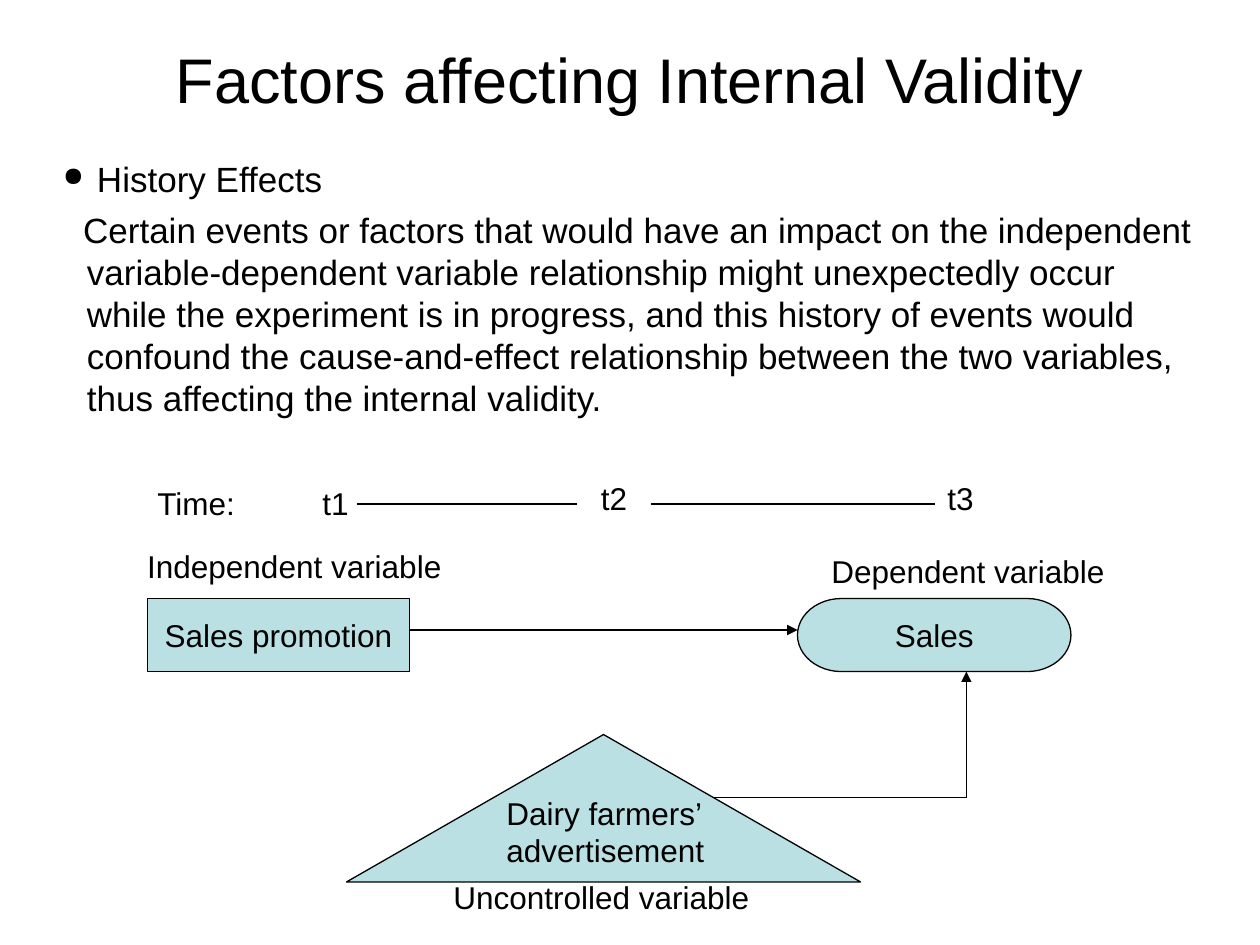
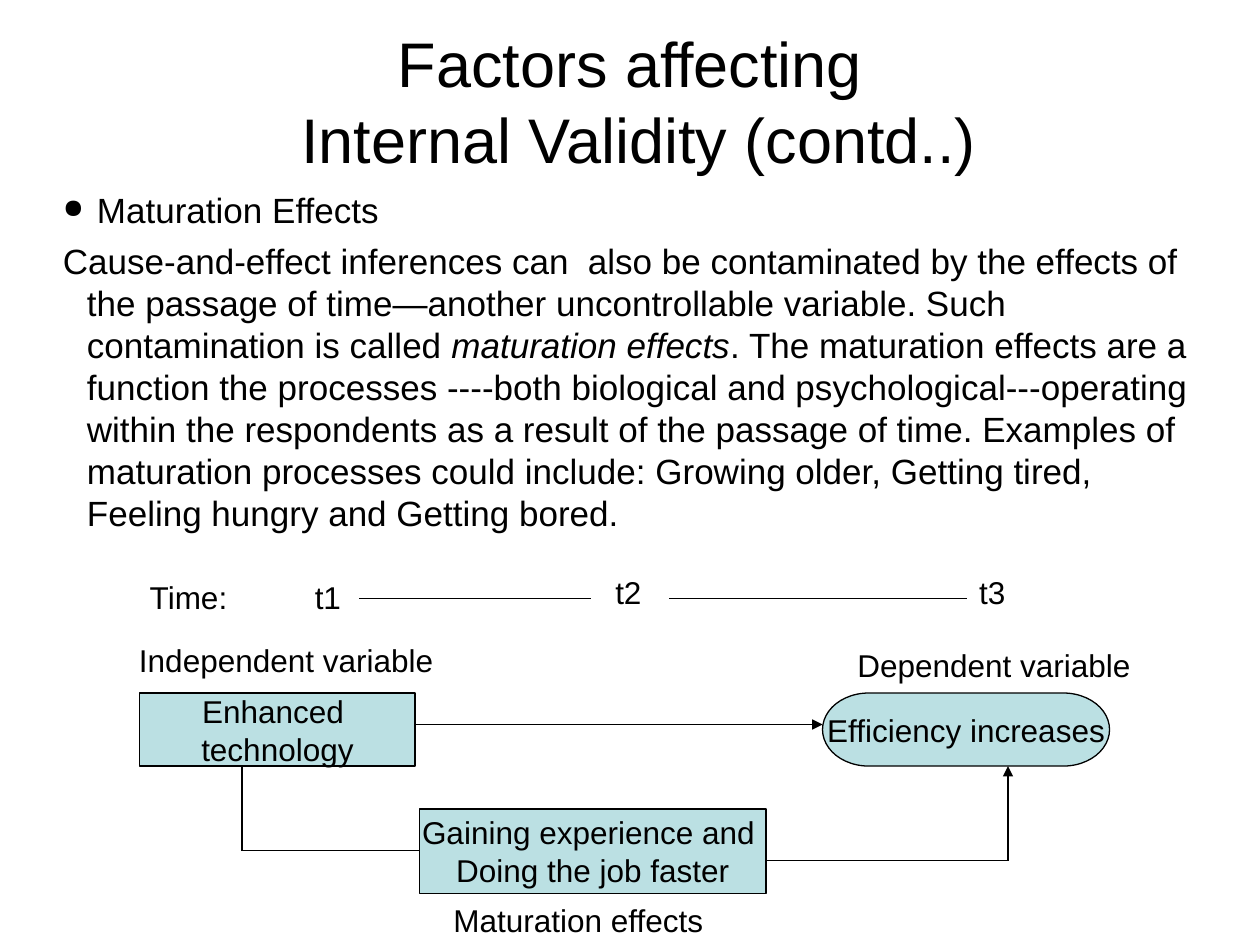
from lxml import etree
from pptx import Presentation
from pptx import util as u
from pptx.dml.color import RGBColor
from pptx.enum import shapes, text
from pptx.oxml import ns

Inches, Pt = u.Inches, u.Pt
COLORS = {"ink": "000000", "node": "BBE0E3"}
FONT = "Arial"
TITLE_SIZE, BODY_SIZE, LABEL_SIZE = 36, 20, 18
RECT = shapes.MSO_SHAPE.RECTANGLE
TERMINATOR = shapes.MSO_SHAPE.FLOWCHART_TERMINATOR
EXTRACT = shapes.MSO_SHAPE.FLOWCHART_EXTRACT

# Body runs are (text, italic); label and node lines are plain strings.
SLIDES = [
    {
        "title": ["Factors affecting Internal Validity"],
        "title_top": 0,
        "heading": "History Effects",
        "body": [
            ("Certain events or factors that would have an impact on the independent "
             "variable-dependent variable relationship might unexpectedly occur while the "
             "experiment is in progress, and this history of events would confound the "
             "cause-and-effect relationship between the two variables, thus affecting the "
             "internal validity.", False),
        ],
        "body_top": 1.25,
        "first_indent": -0.03,
        "cause": ["Sales promotion"],
        "effect": ["Sales"],
        "diagram": (1.17, 3.75, 1),
        "routes": [[(5.67, 6.33), (7.67, 6.33), (7.67, 5.33)]],
        "arrows": [True],
        "extra_node": (EXTRACT, 2.75, 5.83, 4.08, 1.17, []),
        "labels": [
            (3.5, 6.92, 2.6, ["Uncontrolled variable"]),
            (3.92, 6.25, 1.85, ["Dairy farmers’", "advertisement"]),
        ],
    },
    {
        "title": ["Factors affecting", " Internal Validity (contd..)"],
        "title_top": 0.17,
        "heading": "Maturation Effects",
        "body": [
            ("Cause-and-effect inferences can  also be contaminated by the effects of the "
             "passage of time—another uncontrollable variable. Such contamination is "
             "called ", False),
            ("maturation effects", True),
            (". The maturation effects are a function the processes ----both biological "
             "and psychological---operating within the respondents as a result of the "
             "passage of time. Examples of maturation processes could include: Growing "
             "older, Getting tired, Feeling hungry and Getting bored.", False),
        ],
        "body_top": 1.5,
        "first_indent": -0.19,
        "cause": ["Enhanced ", "technology"],
        "effect": ["Efficiency increases"],
        "diagram": (1.11, 4.5, 1.05),
        "routes": [
            [(5.92, 6.83), (8, 6.83), (8, 6.08)],
            [(3.33, 6.75), (1.92, 6.75), (1.92, 6.08)],
        ],
        "arrows": [True, False],
        "extra_node": (RECT, 3.33, 6.42, 2.75, 0.67,
                       ["Gaining experience and ", "Doing the job faster"]),
        "labels": [(3.5, 7.1, 2.25, ["Maturation effects"])],
    },
]


def color(name):
    return RGBColor.from_string(COLORS[name])


def add_span(para, words, size, italic=False):
    span = para.add_run()
    span.text = words
    span.font.name, span.font.size = FONT, Pt(size)
    span.font.italic = italic
    span.font.color.rgb = color("ink")


def fill_lines(frame, lines, size, align=text.PP_ALIGN.LEFT):
    for index, words in enumerate(lines):
        para = frame.add_paragraph() if index else frame.paragraphs[0]
        para.alignment = align
        add_span(para, words, size)


def add_box(page, left, top, width, height):
    return page.shapes.add_textbox(
        Inches(left), Inches(top), Inches(width), Inches(height)).text_frame


def add_label(page, left, top, width, lines):
    frame = add_box(page, left, top, width, 0.1 + 0.3 * len(lines))
    frame.word_wrap = True
    fill_lines(frame, lines, LABEL_SIZE)


def add_node(page, preset, left, top, width, height, lines):
    node = page.shapes.add_shape(
        preset, Inches(left), Inches(top), Inches(width), Inches(height))
    node.shadow.inherit = False
    node.fill.solid()
    node.fill.fore_color.rgb = color("node")
    node.line.color.rgb = color("ink")
    node.line.width = Pt(0.75)
    node.text_frame.word_wrap = False
    node.text_frame.vertical_anchor = text.MSO_ANCHOR.MIDDLE
    fill_lines(node.text_frame, lines, LABEL_SIZE, text.PP_ALIGN.CENTER)


def add_route(page, points, arrow=False):
    """Join the points with straight lines, the last with an optional arrowhead."""
    for start, end in zip(points, points[1:]):
        link = page.shapes.add_connector(
            shapes.MSO_CONNECTOR.STRAIGHT, *(Inches(n) for n in start + end))
        link.line.color.rgb = color("ink")
        link.line.width = Pt(0.75)
        if arrow and end == points[-1]:
            outline = link._element.spPr.find(ns.qn("a:ln"))
            etree.SubElement(outline, ns.qn("a:tailEnd"), type="triangle")
        etree.SubElement(link._element.spPr, ns.qn("a:effectLst"))


def set_indent(para, margin, indent):
    properties = para._p.get_or_add_pPr()
    properties.set("marL", str(Inches(margin)))
    properties.set("indent", str(Inches(indent)))
    return properties


def add_title(page, lines, top):
    frame = add_box(page, 0.5, top, 9, 1.25)
    frame.word_wrap = True
    frame.vertical_anchor = text.MSO_ANCHOR.MIDDLE
    fill_lines(frame, lines, TITLE_SIZE, text.PP_ALIGN.CENTER)


def add_body(page, heading, spans, top, first_indent):
    frame = add_box(page, 0.5, top, 9, 5.67)
    frame.word_wrap = True
    frame.margin_left = frame.margin_right = frame.margin_top = frame.margin_bottom = 0

    fill_lines(frame, [heading], BODY_SIZE)
    properties = set_indent(frame.paragraphs[0], 0.27, -0.27)
    bullet_color = etree.SubElement(properties, ns.qn("a:buClr"))
    etree.SubElement(bullet_color, ns.qn("a:srgbClr"), val=COLORS["ink"])
    etree.SubElement(properties, ns.qn("a:buSzPct"), val="76000")
    etree.SubElement(properties, ns.qn("a:buChar"), char="●")

    para = frame.add_paragraph()
    para.space_before = Pt(5)
    set_indent(para, 0.19, first_indent)
    for words, italic in spans:
        add_span(para, words, BODY_SIZE, italic)


def add_diagram(page, left, top, scale, cause, effect):
    """Draw the time axis with the cause and effect below it, widened by scale."""
    def across(offset):
        return left + offset * scale

    axis, arrow_y, node_top = top + 0.25, top + 1.25, top + 1
    add_node(page, RECT, left, node_top, 2.08 * scale, 0.58, cause)
    add_node(page, TERMINATOR, across(5.16), node_top, 2.17 * scale, 0.58, effect)
    add_route(page, [(across(2.08), arrow_y), (across(5.16), arrow_y)], True)
    for start, end in ((1.66, 3.41), (4, 6.25)):
        add_route(page, [(across(start), axis), (across(end), axis)])
    for x, y, width, words in (
        (left - 0.02, 0.04, 0.9, "Time:"),
        (left + 1.29, 0.04, 0.5, "t1"),
        (across(3.5), 0, 0.5, "t2"),
        (across(6.25), 0, 0.5, "t3"),
        (across(-0.1), 0.54, 2.7, "Independent variable"),
        (across(5.33), 0.58, 2.5, "Dependent variable"),
    ):
        add_label(page, x, top + y, width, [words])


def main():
    deck = Presentation()
    deck.slide_width, deck.slide_height = Inches(10), Inches(7.5)
    for content in SLIDES:
        page = deck.slides.add_slide(deck.slide_layouts[6])
        add_title(page, content["title"], content["title_top"])
        add_body(page, content["heading"], content["body"],
                 content["body_top"], content["first_indent"])
        add_diagram(page, *content["diagram"], content["cause"], content["effect"])
        for points, arrow in zip(content["routes"], content["arrows"]):
            add_route(page, points, arrow)
        add_node(page, *content["extra_node"])
        for label in content["labels"]:
            add_label(page, *label)
    deck.save("out.pptx")


if __name__ == "__main__":
    main()
